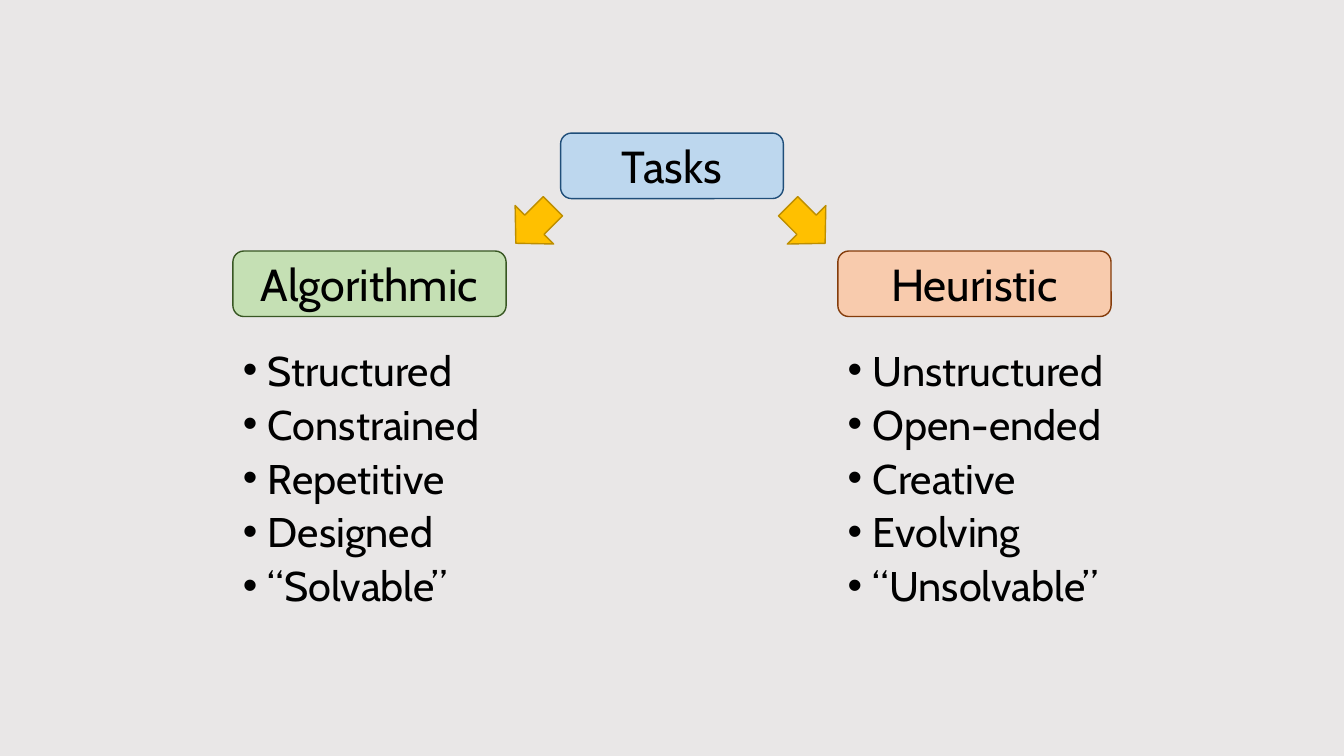
import pptx
import pptx.dml.color
import pptx.enum.shapes
import pptx.enum.text
import pptx.oxml.ns
import pptx.util
from lxml import etree
from pptx.util import Inches

RGBColor = pptx.dml.color.RGBColor
MSO_SHAPE = pptx.enum.shapes.MSO_SHAPE

FONT = "Cabin"
BACKGROUND = RGBColor(0xE9, 0xE7, 0xE7)
BLACK = RGBColor(0, 0, 0)
BLUE, BLUE_LINE = RGBColor(0xBD, 0xD7, 0xEE), RGBColor(0x1F, 0x4E, 0x79)
GREEN, GREEN_LINE = RGBColor(0xC5, 0xE0, 0xB4), RGBColor(0x38, 0x57, 0x23)
ORANGE, ORANGE_LINE = RGBColor(0xF8, 0xCB, 0xAD), RGBColor(0x84, 0x3C, 0x0B)
GOLD, GOLD_LINE = RGBColor(0xFF, 0xC0, 0x00), RGBColor(0xBD, 0x8E, 0x00)

BRANCHES = [
    ("Algorithmic", 2.31, GREEN, GREEN_LINE, 5.03, 45,
     ["Structured", "Constrained", "Repetitive", "Designed", "“Solvable”"]),
    ("Heuristic", 8.31, ORANGE, ORANGE_LINE, 7.73, 315,
     ["Unstructured", "Open-ended", "Creative", "Evolving", "“Unsolvable”"]),
]


def add_run(p, text, size):
    r = p.add_run()
    r.text = text
    r.font.name = FONT
    r.font.size = pptx.util.Pt(size)
    r.font.color.rgb = BLACK


def add_filled(slide, kind, left, top, width, height, fill, line):
    sp = slide.shapes.add_shape(
        kind, Inches(left), Inches(top), Inches(width), Inches(height))
    sp.shadow.inherit = False
    sp.fill.solid()
    sp.fill.fore_color.rgb = fill
    sp.line.color.rgb = line
    sp.line.width = pptx.util.Pt(1)
    return sp


def add_box(slide, text, left, top, width, fill, line):
    sp = add_filled(slide, MSO_SHAPE.ROUNDED_RECTANGLE,
                    left, top, width, 0.65, fill, line)
    tf = sp.text_frame
    tf.vertical_anchor = pptx.enum.text.MSO_ANCHOR.MIDDLE
    p = tf.paragraphs[0]
    p.alignment = pptx.enum.text.PP_ALIGN.CENTER
    add_run(p, text, 32)


def add_arrow(slide, left, rotation):
    sp = add_filled(slide, MSO_SHAPE.DOWN_ARROW,
                    left, 1.97, 0.54, 0.52, GOLD, GOLD_LINE)
    sp.rotation = rotation


def set_bullet(p):
    pPr = p._p.get_or_add_pPr()
    pPr.set("marL", str(Inches(0.25)))
    pPr.set("indent", str(Inches(-0.25)))
    qn = pptx.oxml.ns.qn
    etree.SubElement(pPr, qn("a:buFont"), typeface="Arial")
    etree.SubElement(pPr, qn("a:buChar"), char="•")


def add_list(slide, items, left):
    sp = slide.shapes.add_textbox(
        Inches(left), Inches(3.47), Inches(3.87), Inches(2.76))
    tf = sp.text_frame
    tf.word_wrap = True
    for i, item in enumerate(items):
        p = tf.add_paragraph() if i else tf.paragraphs[0]
        set_bullet(p)
        p.line_spacing = 0.8
        p.space_before = pptx.util.Pt(10 if i else 0)
        add_run(p, item, 29.6)


def main():
    prs = pptx.Presentation()
    prs.slide_width = Inches(13.33)
    prs.slide_height = Inches(7.5)
    slide = prs.slides.add_slide(prs.slide_layouts[6])
    slide.background.fill.solid()
    slide.background.fill.fore_color.rgb = BACKGROUND

    add_box(slide, "Tasks", 5.56, 1.32, 2.21, BLUE, BLUE_LINE)
    for name, left, fill, line, arrow_left, rotation, items in BRANCHES:
        add_box(slide, name, left, 2.49, 2.71, fill, line)
        add_list(slide, items, left)
        add_arrow(slide, arrow_left, rotation)

    prs.save("out.pptx")


if __name__ == "__main__":
    main()
